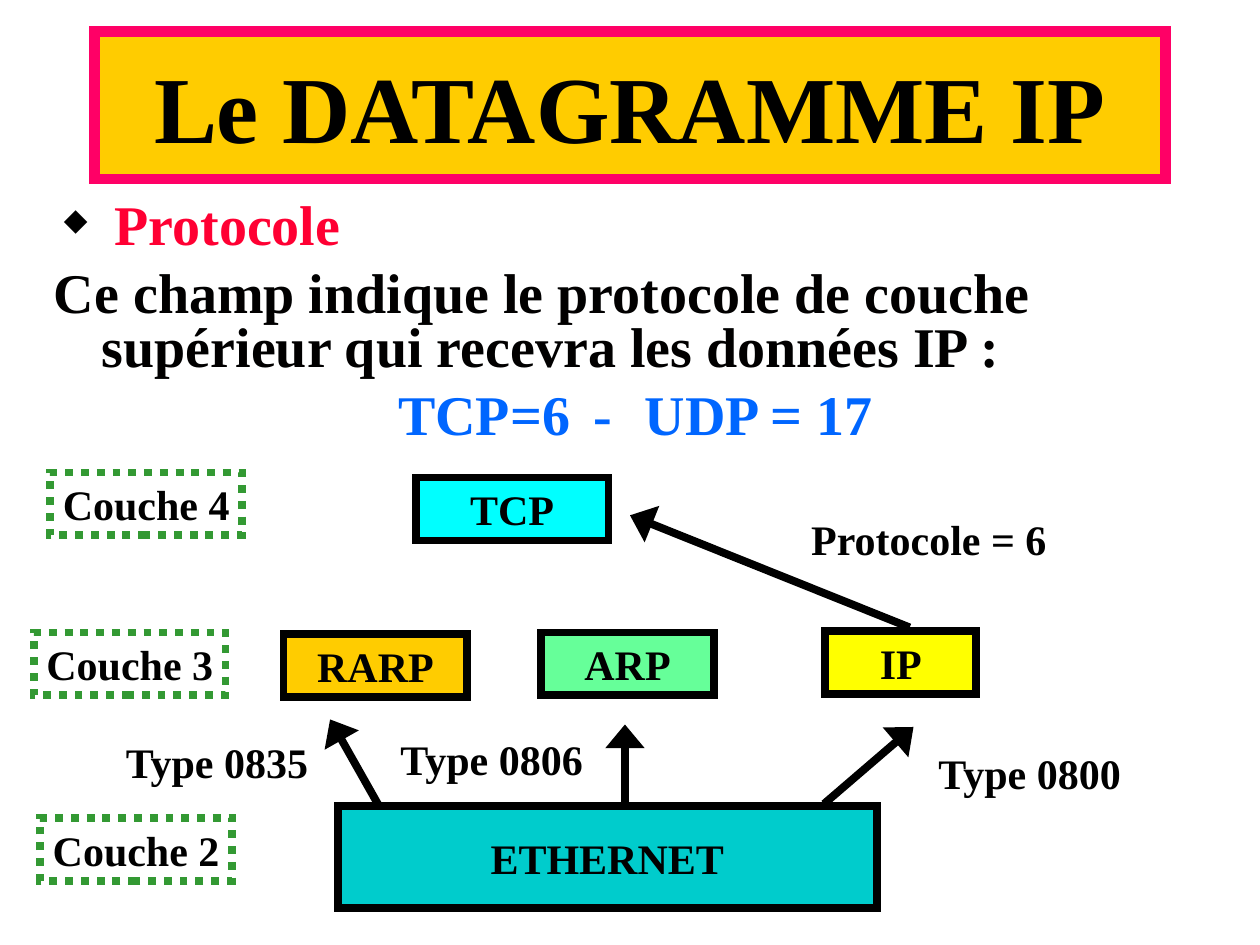
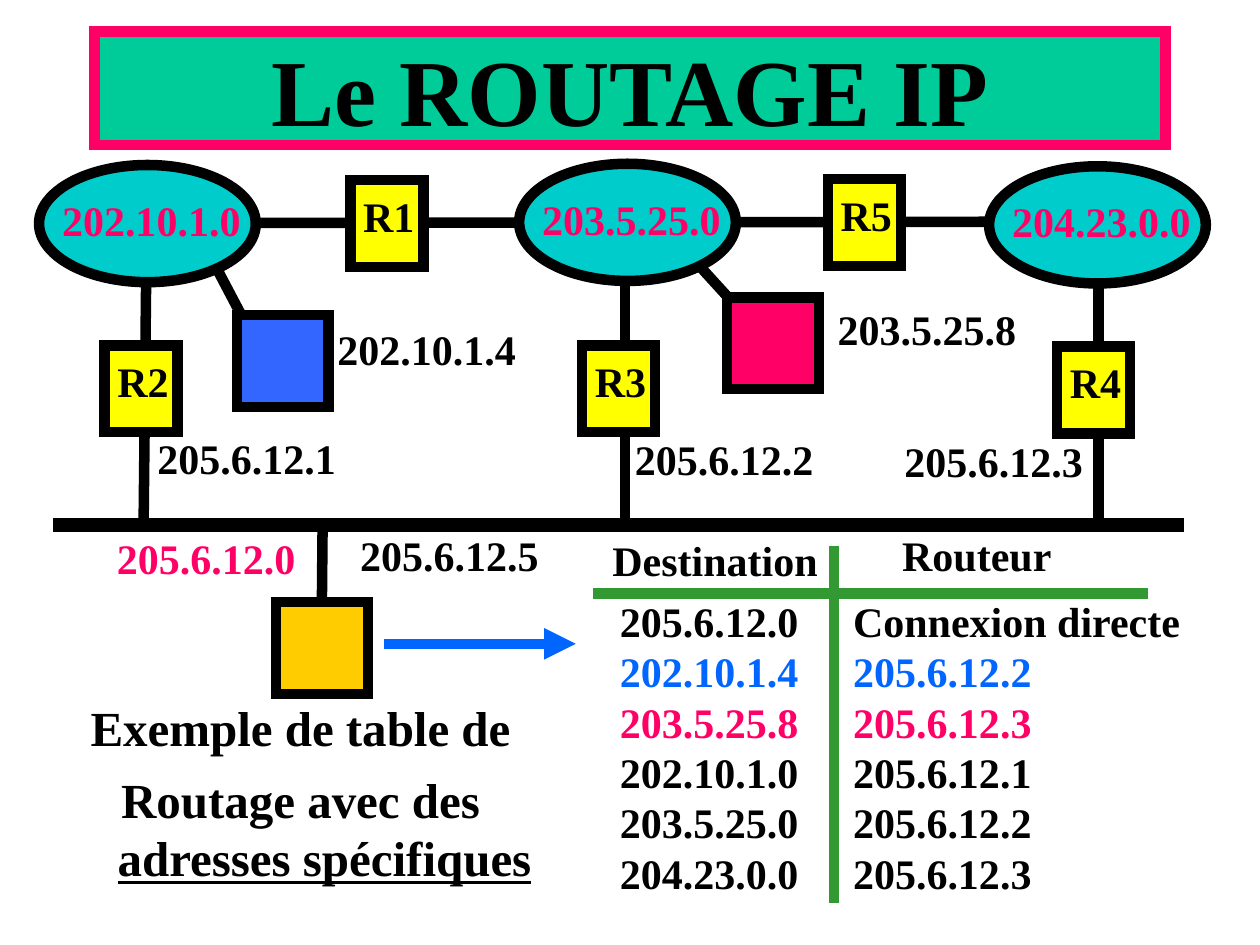
import pptx
import pptx.util
import pptx.dml.color
import pptx.enum.dml
import pptx.enum.shapes
import pptx.enum.text
import pptx.oxml.ns
import lxml.etree

Inches = pptx.util.Inches
Pt = pptx.util.Pt
hue = pptx.dml.color.RGBColor.from_string
qn = pptx.oxml.ns.qn
Kind = pptx.enum.shapes.MSO_SHAPE
Align = pptx.enum.text.PP_ALIGN
Anchor = pptx.enum.text.MSO_ANCHOR

# Shared look
FONT = "Times New Roman"
BLACK, PINK, BLUE, GREEN = "000000", "FF0066", "0066FF", "339933"
YELLOW, GOLD, TEAL = "FFFF00", "FFCC00", "00CCCC"
NO_STYLE = "{2D5ABB26-0587-4C30-8999-92F81FD0307C}"


def write(para, text, colour=BLACK, size=24):
    run = para.add_run()
    run.text = text
    run.font.name = FONT
    run.font.size = Pt(size)
    run.font.bold = True
    run.font.color.rgb = hue(colour)
    return run


def box(slide, area, text="", colour=BLACK, fill=None, edge=None, width=4.5,
        kind=Kind.RECTANGLE):
    place = [Inches(n) for n in area]
    if edge:
        shape = slide.shapes.add_shape(kind, *place)
        shape.shadow.inherit = False
        shape.line.color.rgb = hue(edge)
        shape.line.width = Pt(width)
        if fill:
            shape.fill.solid()
            shape.fill.fore_color.rgb = hue(fill)
        else:
            shape.fill.background()
            shape.line.dash_style = pptx.enum.dml.MSO_LINE.ROUND_DOT
        lxml.etree.SubElement(shape.line._get_or_add_ln(), qn("a:miter"), lim="800000")
    else:
        shape = slide.shapes.add_textbox(*place)
    frame = shape.text_frame
    frame.word_wrap = False
    if text:
        para = frame.paragraphs[0]
        para.alignment = Align.CENTER if edge else Align.LEFT
        write(para, text, colour)
    return shape


deck = pptx.Presentation()
deck.slide_width, deck.slide_height = Inches(10), Inches(7.5)

# Slides and their title bands
pages = []
for text, high, fill in [("Le DATAGRAMME IP", 1.17, GOLD),
                         ("Le ROUTAGE IP", 0.9, "00CC99")]:
    page = deck.slides.add_slide(deck.slide_layouts[5])
    band = page.shapes.title
    band.left, band.top = Inches(0.75), Inches(0.25)
    band.width, band.height = Inches(8.5), Inches(high)
    band.fill.solid()
    band.fill.fore_color.rgb = hue(fill)
    band.line.color.rgb = hue(PINK)
    band.line.width = Pt(6)
    lxml.etree.SubElement(band.line._get_or_add_ln(), qn("a:miter"), lim="800000")
    frame = band.text_frame
    frame.auto_size = pptx.enum.text.MSO_AUTO_SIZE.NONE
    frame.vertical_anchor = Anchor.MIDDLE
    frame.paragraphs[0].alignment = Align.CENTER
    write(frame.paragraphs[0], text, size=54)
    pages.append(page)
gram, route = pages

# Lines and arrows of both slides, laid under the boxes
wires = {}
for name, page, ends, colour, width, head in [
    ("rarp", gram, (3.01, 6.4, 2.62, 5.71), BLACK, 4.5, "lg"),
    ("arp", gram, (4.96, 6.4, 4.96, 5.75), BLACK, 4.5, "lg"),
    ("ip", gram, (6.54, 6.38, 7.25, 5.77), BLACK, 4.5, "lg"),
    ("tcp", gram, (7.22, 4.98, 5, 4.09), BLACK, 4.5, "lg"),
    ("spine", route, (2.01, 1.77, 7.85, 1.76), BLACK, 6, None),
    ("left", route, (1.16, 2.22, 1.14, 4.15), BLACK, 6, None),
    ("mid", route, (4.96, 2.22, 4.96, 4.17), BLACK, 6, None),
    ("right", route, (8.72, 2.24, 8.72, 4.11), BLACK, 6, None),
    ("bus", route, (0.42, 4.17, 9.4, 4.17), BLACK, 8, None),
    ("host", route, (2.56, 4.22, 2.56, 4.78), BLACK, 6, None),
    ("blue", route, (1.72, 2.13, 1.92, 2.51), BLACK, 6, None),
    ("pink", route, (5.56, 2.12, 5.77, 2.35), BLACK, 6, None),
    ("show", route, (3.05, 5.11, 4.57, 5.11), BLUE, 6, "med"),
    ("split", route, (6.62, 4.33, 6.62, 7.17), GREEN, 6, None),
    ("rule", route, (4.71, 4.71, 9.11, 4.71), GREEN, 6, None),
]:
    wire = page.shapes.add_connector(pptx.enum.shapes.MSO_CONNECTOR.STRAIGHT,
                                     *[Inches(n) for n in ends])
    wire.line.color.rgb = hue(colour)
    wire.line.width = Pt(width)
    if head:
        lxml.etree.SubElement(wire.line._get_or_add_ln(), qn("a:tailEnd"),
                              type="triangle", w=head, len="med")
    lxml.etree.SubElement(wire._element.spPr, qn("a:effectLst"))
    wires[name] = wire

# Slide 1: text on the protocol field
frame = box(gram, (0.33, 1.56, 9.43, 2.15)).text_frame
frame.word_wrap = True
for i, (runs, colour, left, hang, side) in enumerate([
    (["Protocole"], "FF0033", 0.48, 0.4, Align.LEFT),
    (["Ce champ indique le protocole de couche supérieur qui recevra "
      "les données IP :"], "010000", 0.38, 0.38, Align.LEFT),
    (["TCP=6", " - ", "UDP = 17"], BLUE, 0.38, 0.38, Align.CENTER),
]):
    para = frame.add_paragraph() if i else frame.paragraphs[0]
    para.alignment = side
    para.line_spacing = 0.8
    if i:
        para.space_before = Pt(8)
    props = para._p.get_or_add_pPr()
    props.set("marL", str(Inches(left)))
    props.set("indent", str(-Inches(hang)))
    if i == 0:
        tint = lxml.etree.SubElement(props, qn("a:buClr"))
        lxml.etree.SubElement(tint, qn("a:srgbClr"), val=BLACK)
        lxml.etree.SubElement(props, qn("a:buSzPct"), val="55000")
        lxml.etree.SubElement(props, qn("a:buChar"), char="◆")
    for text in runs:
        run = write(para, text, colour, 32)
        if text == " - ":  # wider letter spacing around the dash
            run.font._element.set("spc", "530")

# Slide 1: protocol boxes
for text, area, fill in [
    ("ETHERNET", (2.68, 6.4, 4.28, 0.81), TEAL),
    ("RARP", (2.25, 5.03, 1.46, 0.5), GOLD),
    ("ARP", (4.29, 5.02, 1.38, 0.5), "66FF99"),
    ("IP", (6.55, 5.01, 1.2, 0.5), YELLOW),
    ("TCP", (3.3, 3.79, 1.53, 0.5), "00FFFF"),
]:
    box(gram, area, text, fill=fill, edge=BLACK)

# Slide 1: layer names and arrow labels
for text, x, y in [("Couche 4", 0.4, 3.75), ("Couche 3", 0.27, 5.02),
                   ("Couche 2", 0.32, 6.49)]:
    box(gram, (x, y, 1.52, 0.5), text, edge=GREEN)
for text, x, y, wide in [
    ("Type 0835", 0.9, 5.8, 1.67), ("Type 0806", 3.08, 5.77, 1.67),
    ("Type 0800", 7.35, 5.88, 1.67), ("Protocole = 6", 6.34, 4.03, 2.07),
]:
    box(gram, (x, y, wide, 0.5), text).text_frame.margin_right = 0

# Slide 2: networks
for text, x, y in [("202.10.1.0", 0.31, 1.31), ("203.5.25.0", 4.12, 1.3),
                   ("204.23.0.0", 7.85, 1.32)]:
    frame = box(route, (x, y, 1.72, 0.93), text, PINK, TEAL, BLACK, 6,
                Kind.OVAL).text_frame
    frame.margin_left = Inches(0.16)
    frame.margin_bottom = Inches(0.11)

# Slide 2: routers
for text, x, y in [("R1", 2.78, 1.43), ("R5", 6.57, 1.42), ("R2", 0.83, 2.74),
                   ("R3", 4.62, 2.74), ("R4", 8.39, 2.75)]:
    frame = box(route, (x, y, 0.58, 0.69), text, fill=YELLOW, edge=BLACK,
                width=6).text_frame
    frame.vertical_anchor = Anchor.TOP
    frame.margin_left, frame.margin_right = Inches(0.03), 0
    frame.margin_top = Inches(0.08)

# Slide 2: hosts
for x, y, fill in [(1.88, 2.5, "3366FF"), (5.77, 2.36, PINK), (2.19, 4.78, GOLD)]:
    host = box(route, (x, y, 0.73, 0.73), fill=fill, edge=BLACK, width=6)
wires["host"].end_connect(host, 0)

# Slide 2: addresses
for text, x, y, colour in [
    ("202.10.1.4", 2.58, 2.52, BLACK), ("203.5.25.8", 6.55, 2.36, BLACK),
    ("205.6.12.1", 1.15, 3.38, BLACK), ("205.6.12.2", 4.94, 3.39, BLACK),
    ("205.6.12.3", 7.08, 3.41, BLACK), ("205.6.12.5", 2.76, 4.15, BLACK),
    ("205.6.12.0", 0.83, 4.18, PINK),
]:
    box(route, (x, y, 1.61, 0.5), text, colour).text_frame.margin_right = 0

# Slide 2: caption
frame = box(route, (0.23, 5.49, 4.31, 1.72)).text_frame
frame.word_wrap = True
first, last = frame.paragraphs[0], frame.add_paragraph()
for para in (first, last):
    para.alignment = Align.CENTER
    props = para._p.get_or_add_pPr()
    props.set("marL", str(Inches(0.38)))
    props.set("indent", str(-Inches(0.38)))
last.space_before = Pt(7)
write(first, "Exemple de table de", "010000", 28)
write(last, "Routage avec des ", "010000", 28)
write(last, "adresses spécifiques", "010000", 28).font.underline = True

# Slide 2: routing table
rows = [
    ("Destination", "Routeur", BLACK),
    ("205.6.12.0", "Connexion directe", BLACK),
    ("202.10.1.4", "205.6.12.2", BLUE),
    ("203.5.25.8", "205.6.12.3", PINK),
    ("202.10.1.0", "205.6.12.1", BLACK),
    ("203.5.25.0", "205.6.12.2", BLACK),
    ("204.23.0.0", "205.6.12.3", BLACK),
]
grid = route.shapes.add_table(len(rows), 2, Inches(4.72), Inches(4.24),
                              Inches(4.85), Inches(2.92)).table
grid.first_row = grid.horz_banding = False
grid._tbl.tblPr.find(qn("a:tableStyleId")).text = NO_STYLE
grid.columns[0].width, grid.columns[1].width = Inches(1.9), Inches(2.95)
for i, (dest, hop, colour) in enumerate(rows):
    grid.rows[i].height = Inches(0.4 if i else 0.52)
    pads = (0.2, 0.15) if i else (0.14, 0.54)
    for j, text in enumerate((dest, hop)):
        cell = grid.cell(i, j)
        cell.fill.background()
        cell.margin_left = Inches(pads[j])
        cell.margin_right = cell.margin_top = cell.margin_bottom = 0
        write(cell.text_frame.paragraphs[0], text, colour)
grid.cell(0, 0).margin_top = Inches(0.04)

deck.save("out.pptx")
